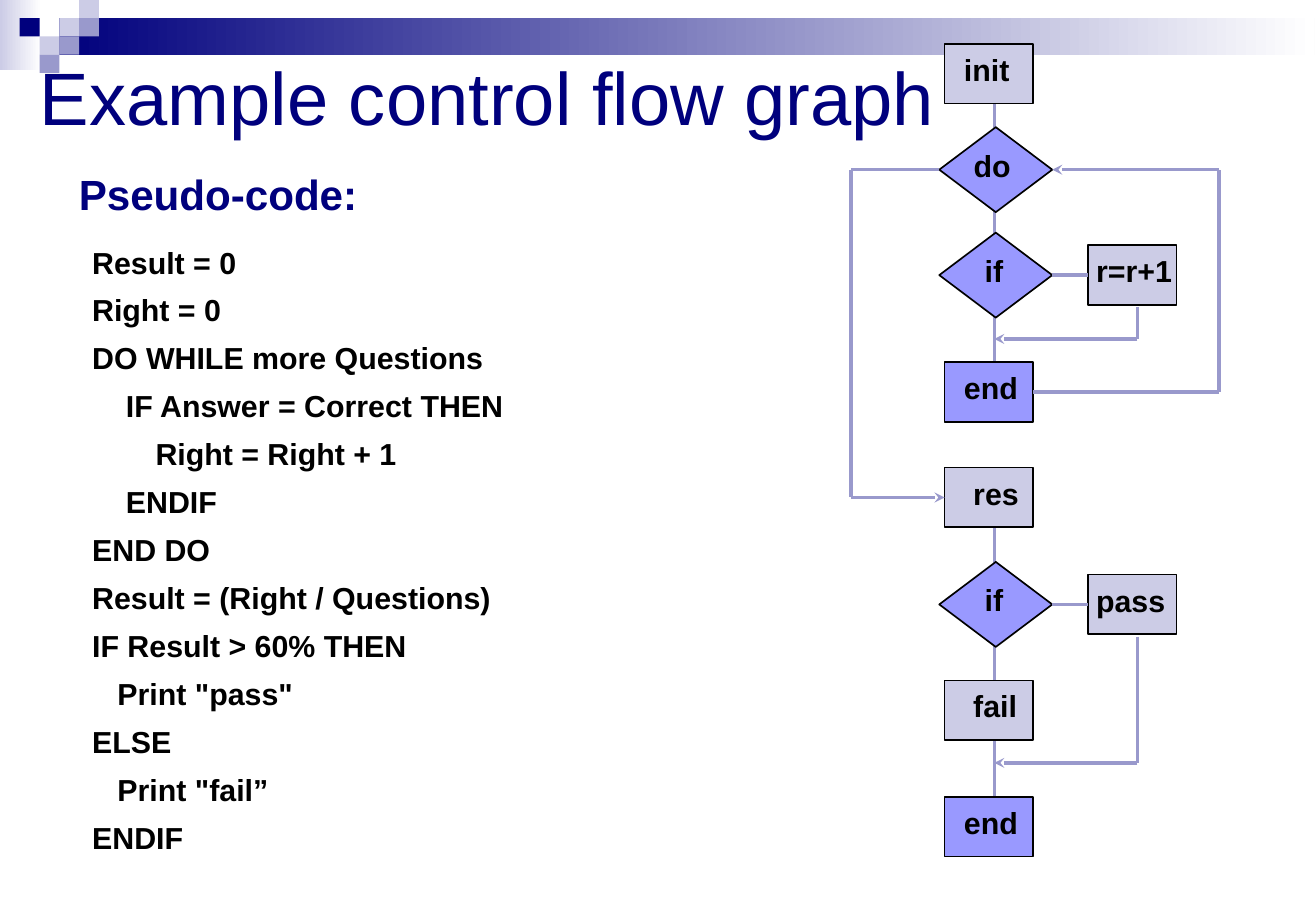
"""Build the control flow graph slide: pseudo-code on the left, its graph on the right."""
from dataclasses import dataclass
from itertools import pairwise
from typing import Any, Optional

from lxml import etree
from pptx import Presentation, util as u
from pptx.dml.color import RGBColor
from pptx.enum import shapes, text
from pptx.oxml import ns

NAVY = RGBColor(0x00, 0x00, 0x7D)
BLACK = RGBColor(0x00, 0x00, 0x00)
WHITE = RGBColor(0xFF, 0xFF, 0xFF)
LILAC = RGBColor(0xCC, 0xCC, 0xE6)
MAUVE = RGBColor(0x99, 0x99, 0xCC)
VIOLET = RGBColor(0x99, 0x99, 0xFF)

RECTANGLE = shapes.MSO_SHAPE.RECTANGLE
DIAMOND = shapes.MSO_SHAPE.DIAMOND
SIZES = {RECTANGLE: (52.6, 35.4), DIAMOND: (67, 50.4)}
LEFT, RIGHT = 1, 3
MAIN_X, DECISION_X, SIDE_X = 586.5, 590.6, 671.4
SPINE_X, BRANCH_X, EXIT_X, LOOP_X = 589.7, 674.6, 504.7, 722.9
DO_Y, IF_Y, END_Y, RES_Y, GRADE_Y = 100.6, 163.1, 232.4, 294.9, 358.3
TILE_LEFT, TILE_WIDTH, TILE_HEIGHT = 11.7, 11.75, 10.8


@dataclass(frozen=True)
class Band:
    left: float
    top: float
    width: float
    height: float
    start: RGBColor


@dataclass(frozen=True)
class Tile:
    column: int
    row: int
    color: RGBColor


@dataclass(frozen=True)
class Node:
    key: str
    label: str
    outline: Any
    x: float
    y: float
    color: RGBColor
    inset: float


@dataclass(frozen=True)
class Route:
    points: list[tuple[float, float]]
    source: Optional[tuple[str, int]] = None
    target: Optional[tuple[str, int]] = None
    arrow: bool = False


@dataclass(frozen=True)
class Caption:
    lines: list[tuple[str, float]]
    box: tuple[float, float, float, float]
    margins: tuple[float, float]
    anchor: Any
    size: float
    color: RGBColor
    bold: bool
    line_spacing: float
    space_before: float = 0


BANDS = [Band(0, 0, 24.5, 41.8, LILAC), Band(35.3, 10.8, 744.5, 21.6, NAVY)]
TILES = [
    Tile(2, 1, LILAC), Tile(3, 0, LILAC), Tile(3, 1, MAUVE), Tile(1, 2, LILAC),
    Tile(0, 1, NAVY), Tile(2, 2, MAUVE), Tile(1, 3, MAUVE),
]
NODES = [
    Node("init", "init", RECTANGLE, MAIN_X, 43.6, LILAC, 11.5),
    Node("do", "do", DIAMOND, DECISION_X, DO_Y, VIOLET, 3.6),
    Node("if answer", "if", DIAMOND, DECISION_X, IF_Y, VIOLET, 10.2),
    Node("add", "r=r+1", RECTANGLE, SIDE_X, IF_Y, LILAC, 5),
    Node("end do", "end", RECTANGLE, MAIN_X, END_Y, VIOLET, 11.5),
    Node("res", "res", RECTANGLE, MAIN_X, RES_Y, LILAC, 17),
    Node("if result", "if", DIAMOND, DECISION_X, GRADE_Y, VIOLET, 10.2),
    Node("pass", "pass", RECTANGLE, SIDE_X, GRADE_Y, LILAC, 5),
    Node("fail", "fail", RECTANGLE, MAIN_X, 421, LILAC, 17),
    Node("end", "end", RECTANGLE, MAIN_X, 490, VIOLET, 11.5),
]
SPINES = [Route([(SPINE_X, 50), (SPINE_X, 233)]), Route([(SPINE_X, 302), (SPINE_X, 485)])]
BRANCHES = [
    Route([(624, IF_Y), (645, IF_Y)], ("if answer", RIGHT), ("add", LEFT)),
    Route([(624, GRADE_Y), (645, GRADE_Y)], ("if result", RIGHT), ("pass", LEFT)),
    Route([(557, DO_Y), (EXIT_X, DO_Y), (EXIT_X, RES_Y), (560, RES_Y)],
          ("do", LEFT), ("res", LEFT), True),
    Route([(613, END_Y), (LOOP_X, END_Y), (LOOP_X, DO_Y), (624, DO_Y)],
          ("end do", RIGHT), ("do", RIGHT), True),
    Route([(BRANCH_X, 182.2), (BRANCH_X, 200.9), (SPINE_X, 200.9)], arrow=True),
    Route([(BRANCH_X, 377.3), (BRANCH_X, 452.2), (SPINE_X, 452.2)], arrow=True),
]
PSEUDO_CODE = [
    ("Result = 0", 0), ("Right = 0", 0), ("DO WHILE more Questions", 0),
    ("IF Answer = Correct THEN", 20), ("Right = Right + 1", 37.6), ("ENDIF", 20),
    ("END DO", 0), ("Result = (Right / Questions)", 0), ("IF Result > 60% THEN", 0),
    ('Print "pass"', 15), ("ELSE", 0), ('Print "fail”', 15), ("ENDIF", 0),
]
CAPTIONS = [
    Caption([("Example control flow graph", 0)], (16.6, 7.2, 702, 108), (7.2, 3.6),
            text.MSO_ANCHOR.MIDDLE, 44, NAVY, False, 0.85),
    Caption([("Pseudo-code:", 0)], (41.8, 101.5, 175.7, 30.2), (5, 2.2),
            text.MSO_ANCHOR.TOP, 25, NAVY, True, 0.87),
    Caption(PSEUDO_CODE, (49.7, 145.4, 362.2, 353.5), (5, 2.2),
            text.MSO_ANCHOR.TOP, 18, BLACK, True, 0.86, 9.85),
]


def apply(target: Any, formats: dict[str, Any]) -> None:
    for name, value in formats.items():
        setattr(target, name, value)


def write_line(paragraph: Any, words: str, size: float, color: RGBColor, bold: bool,
               formats: dict[str, Any]) -> None:
    apply(paragraph, {"alignment": text.PP_ALIGN.LEFT, **formats})
    run = paragraph.add_run()
    run.text = words
    apply(run.font, {"name": "Arial", "size": u.Pt(size), "bold": bold})
    run.font.color.rgb = color


def draw_shape(slide: Any, outline: Any, *box: float) -> Any:
    shape = slide.shapes.add_shape(outline, *map(u.Pt, box))
    shape.shadow.inherit = False
    shape.line.fill.background()
    return shape


def draw_band(slide: Any, band: Band) -> None:
    fill = draw_shape(slide, RECTANGLE, band.left, band.top, band.width, band.height).fill
    fill.gradient()
    fill.gradient_angle = 0
    for stop, color in zip(fill.gradient_stops, (band.start, WHITE)):
        stop.color.rgb = color


def draw_tile(slide: Any, tile: Tile) -> None:
    fill = draw_shape(slide, RECTANGLE, TILE_LEFT + tile.column * TILE_WIDTH,
                      tile.row * TILE_HEIGHT, TILE_WIDTH, TILE_HEIGHT).fill
    fill.solid()
    fill.fore_color.rgb = tile.color


def draw_node(slide: Any, node: Node) -> Any:
    width, height = SIZES[node.outline]
    step = draw_shape(slide, node.outline, node.x - width / 2, node.y - height / 2, width, height)
    step.fill.solid()
    step.fill.fore_color.rgb = node.color
    step.line.color.rgb = BLACK
    step.line.width = u.Pt(1)
    frame = step.text_frame
    apply(frame, {"margin_left": u.Pt(node.inset), "margin_right": 0, "margin_top": 0,
                  "margin_bottom": u.Pt(2), "word_wrap": True,
                  "vertical_anchor": text.MSO_ANCHOR.MIDDLE})
    write_line(frame.paragraphs[0], node.label, 18, BLACK, True, {"line_spacing": 0.85})
    return step


def draw_route(slide: Any, route: Route, steps: dict[str, Any]) -> None:
    legs = []
    for start, end in pairwise(route.points):
        leg = slide.shapes.add_connector(shapes.MSO_CONNECTOR.STRAIGHT, *map(u.Pt, start + end))
        leg.line.color.rgb = MAUVE
        leg.line.width = u.Pt(2)
        etree.SubElement(leg._element.spPr, ns.qn("a:effectLst"))
        legs.append(leg)
    if route.source:
        legs[0].begin_connect(steps[route.source[0]], route.source[1])
    if route.target:
        legs[-1].end_connect(steps[route.target[0]], route.target[1])
    if route.arrow:
        etree.SubElement(legs[-1].line._get_or_add_ln(), ns.qn("a:tailEnd"), type="stealth")


def draw_caption(slide: Any, caption: Caption) -> None:
    frame = slide.shapes.add_textbox(*map(u.Pt, caption.box)).text_frame
    side, edge = map(u.Pt, caption.margins)
    apply(frame, {"margin_left": side, "margin_right": side, "margin_top": edge,
                  "margin_bottom": edge, "word_wrap": True, "vertical_anchor": caption.anchor})
    for index, (words, indent) in enumerate(caption.lines):
        paragraph = frame.add_paragraph() if index else frame.paragraphs[0]
        write_line(paragraph, words, caption.size, caption.color, caption.bold,
                   {"line_spacing": caption.line_spacing,
                    "space_before": u.Pt(caption.space_before)})
        paragraph._p.get_or_add_pPr().set("marL", str(u.Pt(indent)))


def main() -> None:
    deck = Presentation()
    apply(deck, {"slide_width": u.Pt(780.48), "slide_height": u.Pt(540)})
    slide = deck.slides.add_slide(deck.slide_layouts[6])
    for band in BANDS:
        draw_band(slide, band)
    for tile in TILES:
        draw_tile(slide, tile)
    for spine in SPINES:
        draw_route(slide, spine, {})
    for caption in CAPTIONS:
        draw_caption(slide, caption)
    steps = {node.key: draw_node(slide, node) for node in NODES}
    for branch in BRANCHES:
        draw_route(slide, branch, steps)
    deck.save("out.pptx")


if __name__ == "__main__":
    main()
